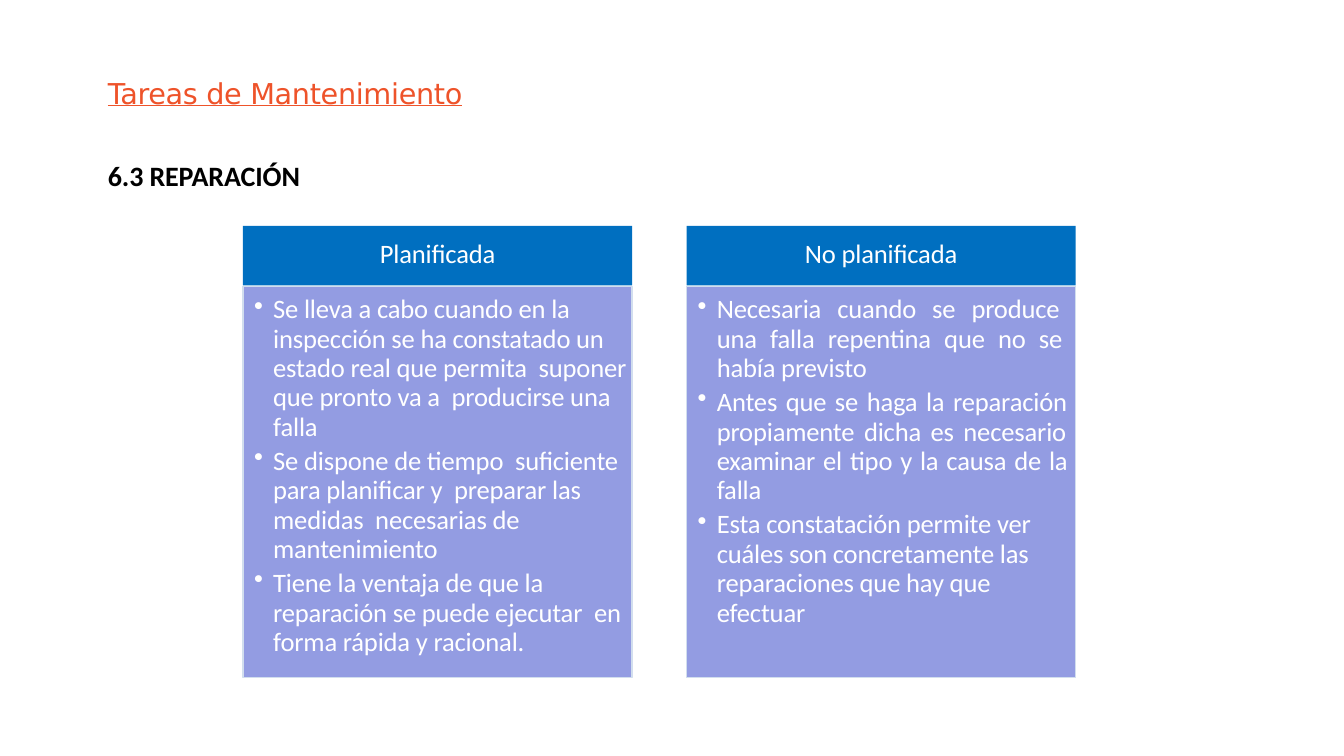
from pptx import Presentation
from pptx.dml.color import RGBColor
from pptx.enum.shapes import MSO_SHAPE as Shape
from pptx.enum.text import MSO_ANCHOR as Anchor, MSO_AUTO_SIZE as AutoSize, PP_ALIGN as Align
from pptx.oxml.ns import qn
from pptx.util import Inches, Pt
from lxml.etree import SubElement

TITLE = "Tareas de Mantenimiento"
SECTION = "6.3 REPARACIÓN"
COLUMNS = [
    ("Planificada", [
        ("Se lleva a cabo cuando en la  inspección se ha constatado un  estado real "
         "que permita  suponer que pronto va a  producirse una falla", Align.LEFT),
        ("Se dispone de tiempo  suficiente para planificar y  preparar las medidas  "
         "necesarias de mantenimiento", Align.LEFT),
        ("Tiene la ventaja de que la  reparación se puede ejecutar  en forma rápida "
         "y racional.", Align.LEFT),
    ]),
    ("No planificada", [
        ("Necesaria cuando se produce  una falla repentina que no se  había previsto",
         Align.JUSTIFY),
        ("Antes que se haga la reparación  propiamente dicha es necesario  examinar "
         "el tipo y la causa de la  falla", Align.JUSTIFY),
        ("Esta constatación permite ver  cuáles son concretamente las  reparaciones "
         "que hay que  efectuar", Align.LEFT),
    ]),
]

THEME = {
    "title": "EE532A", "section": "000000", "text": "FFFFFF",
    "header": "006FC0", "body": "8892DF", "border": "D2DEEE",
    "title_font": "DejaVu Sans", "font": "Calibri",
    "title_size": 20.5, "section_size": 20, "column_size": 19,
}

LEFT, TOP = 2.41, 2.24
COLUMN_WIDTH, COLUMN_STEP = 3.86, 4.4
HEADER_HEIGHT, BODY_TOP, BODY_HEIGHT = 0.59, 2.84, 3.88
TEXT_LEFT = 1.07


def color(name):
    return RGBColor.from_string(THEME[name])


def prepare_frame(shape, top_inset, wrap=True):
    frame = shape.text_frame
    frame.auto_size = AutoSize.NONE
    frame.word_wrap = wrap
    frame.vertical_anchor = Anchor.TOP
    frame.margin_left = frame.margin_right = frame.margin_bottom = 0
    frame.margin_top = Inches(top_inset)
    return frame


def write(paragraph, text, ink="text", size="column_size", font="font", align=Align.LEFT,
          bold=False, underline=False, bullet=False, before=0, line=1.0, tracking=-0.1):
    paragraph.alignment = align
    paragraph.space_before = Pt(before)
    paragraph.line_spacing = line
    if bullet:
        properties = paragraph._p.get_or_add_pPr()
        properties.set("marL", str(Inches(0.3)))
        properties.set("indent", str(Inches(-0.19)))
        SubElement(properties, qn("a:buChar"), char="•")
    run = paragraph.add_run()
    run.text = text
    run.font.name = THEME[font]
    run.font.size = Pt(THEME[size])
    run.font.color.rgb = color(ink)
    run.font.bold = bold
    run.font.underline = underline
    run._r.get_or_add_rPr().set("spc", str(round(tracking * 100)))


def add_panel(slide, left, top, height, fill):
    shape = slide.shapes.add_shape(Shape.RECTANGLE, Inches(left), Inches(top),
                                   Inches(COLUMN_WIDTH), Inches(height))
    shape.shadow.inherit = False
    shape.fill.solid()
    shape.fill.fore_color.rgb = color(fill)
    shape.line.fill.background()
    return shape


def add_column(slide, left, heading, items):
    header = add_panel(slide, left, TOP, HEADER_HEIGHT, "header")
    write(prepare_frame(header, 0.11).paragraphs[0], heading, align=Align.CENTER)

    body = add_panel(slide, left, BODY_TOP, BODY_HEIGHT, "body")
    fill_color = body._element.spPr.find(qn("a:solidFill"))[0]
    SubElement(fill_color, qn("a:alpha"), val="90000")
    body.line.color.rgb = color("border")
    body.line.width = Pt(1)
    frame = prepare_frame(body, 0.09)
    for index, (text, align) in enumerate(items):
        paragraph = frame.add_paragraph() if index else frame.paragraphs[0]
        write(paragraph, text, align=align, bullet=True, line=0.92,
              before=3.4 if index else 0)


def main():
    presentation = Presentation()
    presentation.slide_width = Inches(13.33)
    presentation.slide_height = Inches(7.5)
    slide = presentation.slides.add_slide(presentation.slide_layouts[5])

    title = slide.shapes.title
    title.left, title.top = Inches(TEXT_LEFT), Inches(0.74)
    title.width, title.height = Inches(4.17), Inches(0.37)
    write(prepare_frame(title, 0.01).paragraphs[0], TITLE, ink="title", size="title_size",
          font="title_font", underline=True, tracking=-0.25)

    section = slide.shapes.add_textbox(Inches(TEXT_LEFT), Inches(1.56),
                                       Inches(1.95), Inches(0.36))
    write(prepare_frame(section, 0.01, wrap=False).paragraphs[0], SECTION, ink="section",
          size="section_size", bold=True)

    for index, (heading, items) in enumerate(COLUMNS):
        add_column(slide, LEFT + index * COLUMN_STEP, heading, items)

    presentation.save("out.pptx")


if __name__ == "__main__":
    main()
